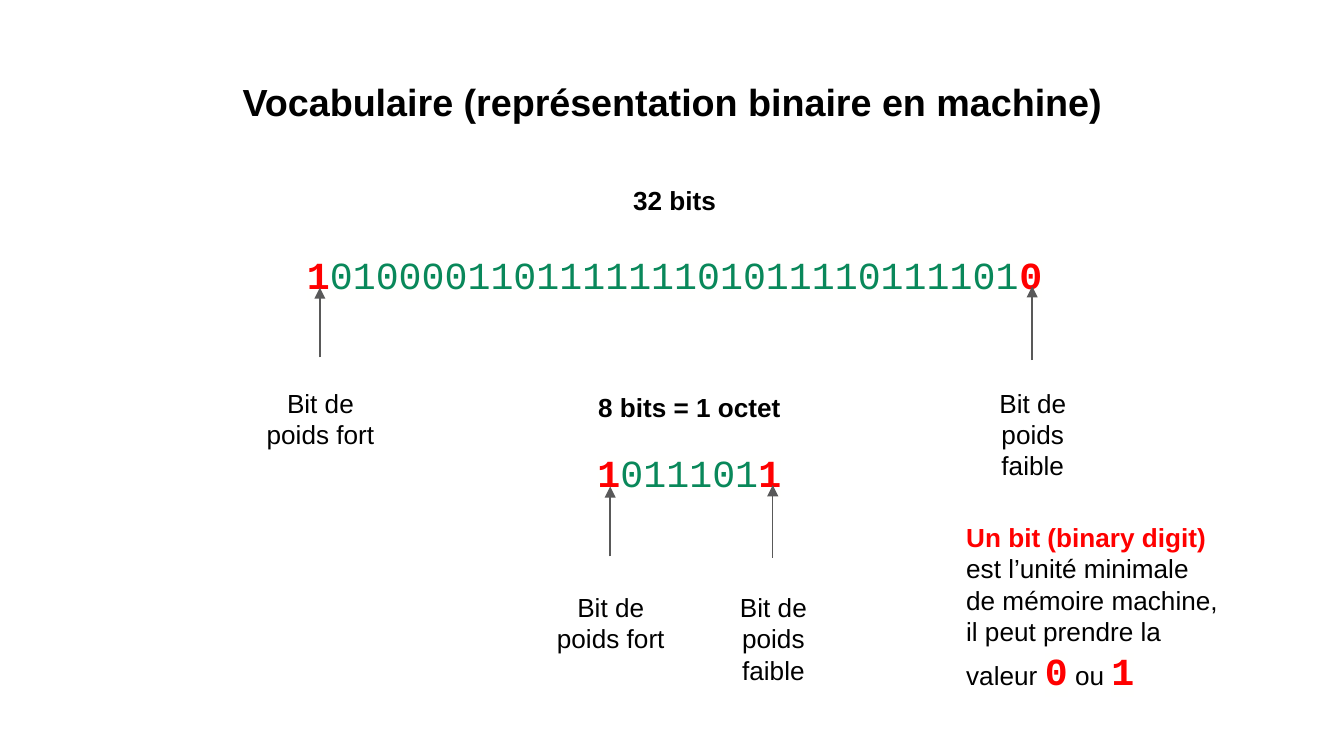
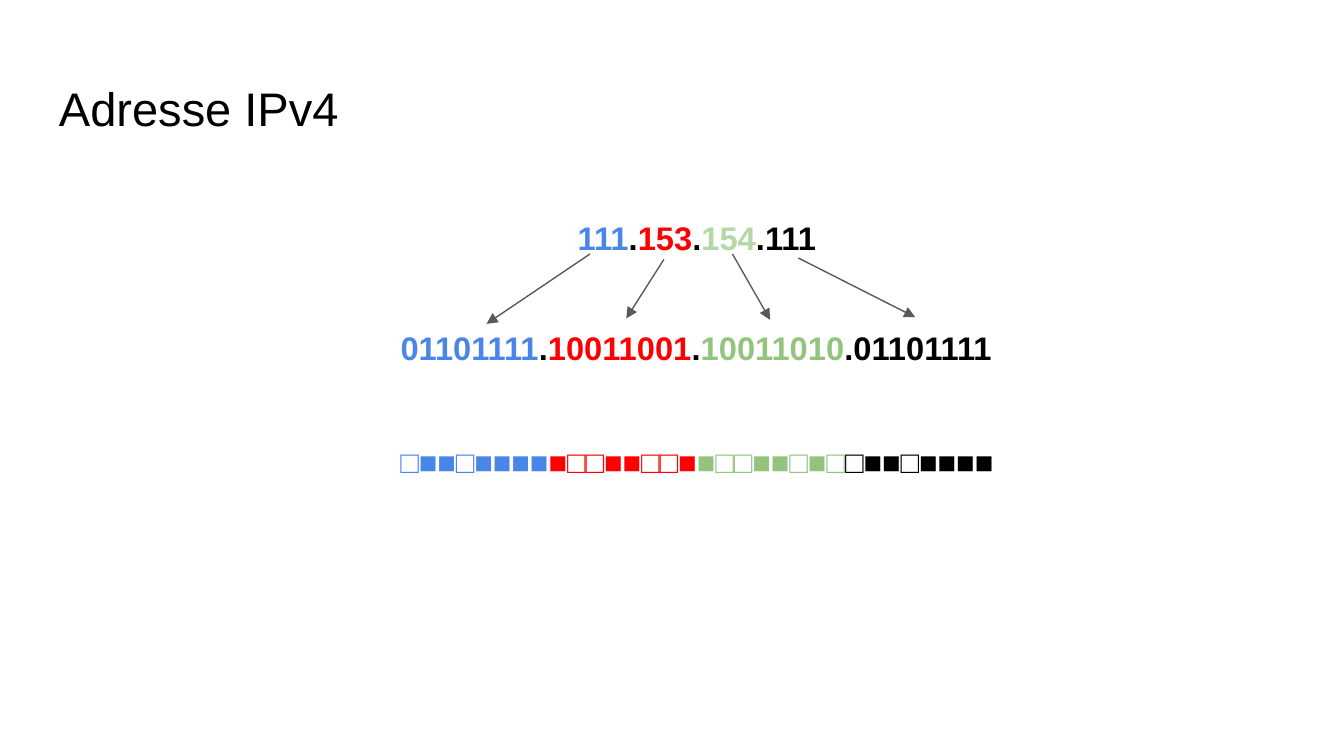
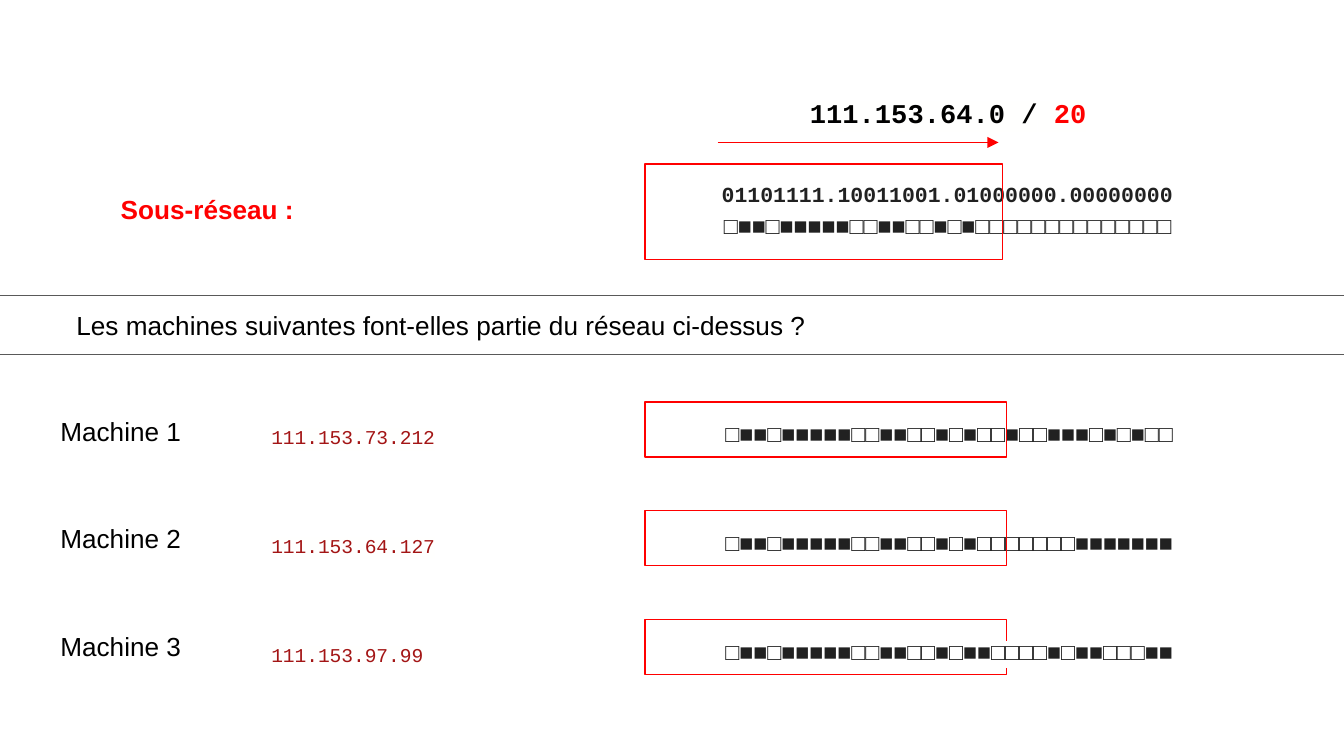
from pptx import Presentation
from pptx.dml.color import RGBColor as Rgb
from pptx.enum.shapes import MSO_CONNECTOR as Connector, MSO_SHAPE as Preset
from pptx.enum.text import MSO_AUTO_SIZE as AutoSize, PP_ALIGN as Align
from pptx.oxml.ns import qn
from pptx.util import Inches, Pt
from lxml.etree import SubElement, Element

COLOURS = {
    "black": "000000", "red": "FF0000", "green": "09885A", "grey": "595959",
    "blue": "4A86E8", "pale": "B6D7A8", "leaf": "93C47D", "ink": "212121",
    "brick": "A31515", "paper": "FFFFFE", "white": "FFFFFF",
}
# Each style: font, size, bold, highlight
STYLES = {
    "heading": ("Arial", 20.2, True, None),
    "title": ("Arial", 25.2, False, None),
    "label": ("Arial", 14, False, None),
    "strong": ("Arial", 14, True, None),
    "digit": ("Courier New", 20.5, False, "paper"),
    "end digit": ("Courier New", 20.5, True, "paper"),
    "address": ("Arial", 17.5, True, None),
    "square": ("Arial", 16.5, False, None),
    "bold square": ("Arial", 16.5, True, None),
    "subnet": ("Courier New", 14.5, True, "paper"),
    "subnet bits": ("Courier New", 11.5, True, "white"),
    "small square": ("Courier New", 12.5, False, "white"),
    "machine": ("Courier New", 10.5, False, "paper"),
}
CENTER = {"alignment": Align.CENTER}
CODE = {"line_spacing": 1.36}
SPACED = {"line_spacing": 1.15, "space_before": Pt(11)}
STRIP = {**SPACED, "space_after": Pt(11)}
TITLE_PLACE = (0.34, 0.49, 9.32, 0.63)


def add_text(page, place, spans, layout={}, grow=True):
    """Spans are (text, style, colour); a text of "\\n" breaks the line."""
    box = page.shapes.add_textbox(*map(Inches, place))
    frame = box.text_frame
    frame.word_wrap = True
    frame.auto_size = AutoSize.SHAPE_TO_FIT_TEXT if grow else AutoSize.NONE
    for side in ("left", "top", "right", "bottom"):
        setattr(frame, f"margin_{side}", Inches(0.1))
    para = frame.paragraphs[0]
    for name, value in layout.items():
        setattr(para, name, value)
    if "space_before" in layout:
        for side in ("marL", "marR"):
            para._p.get_or_add_pPr().set(side, str(Inches(0.08)))
    for text, style, colour in spans:
        if text == "\n":
            para.add_line_break()
            continue
        span = para.add_run()
        span.text = text
        face, size, bold, highlight = STYLES[style]
        for name, value in {"name": face, "size": Pt(size), "bold": bold}.items():
            setattr(span.font, name, value)
        span.font.color.rgb = Rgb.from_string(COLOURS[colour])
        if highlight:
            mark = Element(qn("a:highlight"))
            SubElement(mark, qn("a:srgbClr")).set("val", COLOURS[highlight])
            span.font._element.find(qn("a:solidFill")).addnext(mark)
    return box


def add_line(page, start, end, colour="grey", arrow=True):
    line = page.shapes.add_connector(Connector.STRAIGHT, *map(Inches, start + end))
    line.line.color.rgb = Rgb.from_string(COLOURS[colour])
    line.line.width = Pt(0.75)
    if arrow:
        SubElement(line.line._ln, qn("a:tailEnd")).set("type", "triangle")
    SubElement(line._element.spPr, qn("a:effectLst"))


deck = Presentation()
deck.slide_width = Inches(10)
deck.slide_height = deck.slide_width * 9 // 16
blank = deck.slide_layouts[6]

# Slide 1: vocabulary of binary numbers
page = deck.slides.add_slide(blank)
add_text(page, TITLE_PLACE,
         [("Vocabulaire (représentation binaire en machine)", "heading", "black")],
         CENTER, grow=False)
numbers = [
    ("10100001101111111010111101111010", (0.49, 1.65), "32 bits", (4.11, 1.27)),
    ("10111011", (0.6, 3.12), "8 bits = 1 octet", (4.22, 2.81)),
]
for digits, digits_at, caption, caption_at in numbers:
    add_text(page, digits_at + (9.06, 1.07),
             [(digits[0], "end digit", "red"), (digits[1:-1], "digit", "green"),
              (digits[-1], "end digit", "red")], {**CENTER, **CODE})
    add_text(page, caption_at + (1.82, 0.44), [(caption, "strong", "black")], CENTER)

# Arrows to the end bits: x, arrow foot, arrow tip, label top
end_bits = [
    ("fort", 2.38, 2.66, 2.14, 2.78), ("faible", 7.68, 2.68, 2.13, 2.78),
    ("fort", 4.54, 4.14, 3.62, 4.3), ("faible", 5.75, 4.15, 3.61, 4.3),
]
for weight, x, foot, tip, top in end_bits:
    add_line(page, (x, foot), (x, tip))
    height = 0.67 if weight == "fort" else 0.91
    add_text(page, (x - 0.51, top, 1.03, height),
             [(f"Bit de poids {weight}", "label", "black")], CENTER)

add_text(page, (7.09, 3.78, 2.08, 1.49), [
    ("Un bit (binary digit) ", "strong", "red"),
    ("est l’unité minimale de mémoire machine, il peut prendre la valeur ",
     "label", "black"),
    ("0", "end digit", "red"), (" ou ", "label", "black"), ("1", "end digit", "red"),
])

# Slide 2: IPv4 address in decimal, in binary and as squares
page = deck.slides.add_slide(blank)
add_text(page, TITLE_PLACE, [("Adresse IPv4", "title", "black")], grow=False)
octets = [(111, "blue"), (153, "red"), (154, "leaf"), (111, "black")]
decimal, binary, squares = [], [], []
for value, colour in octets:
    if decimal:
        decimal.append((".", "address", "black"))
        binary.append((".", "address", "black"))
    bits = f"{value:08b}"
    decimal.append((str(value), "address", "pale" if colour == "leaf" else colour))
    binary.append((bits, "address", colour))
    squares.append((bits.replace("0", "□").replace("1", "■"),
                    "bold square" if colour == "blue" else "square", colour))
for place, spans in [((2.38, 1.48, 5.61, 1.07), decimal),
                     ((2.38, 2.3, 5.6, 1.07), binary),
                     ((1.4, 3.15, 7.57, 1.03), squares)]:
    add_text(page, place, spans, {**CENTER, **SPACED})
for start, end in [((4.39, 1.89), (3.62, 2.41)), ((4.94, 1.93), (4.66, 2.37)),
                   ((5.45, 1.89), (5.73, 2.38)), ((5.94, 1.92), (6.81, 2.36))]:
    add_line(page, start, end)

# Slide 3: subnet and its machines
page = deck.slides.add_slide(blank)
add_text(page, (4.76, 0.53, 4.59, 0.99),
         [("111.153.64.0 /", "subnet", "black"), (" ", "subnet", "brick"),
          ("20", "subnet", "red")], {**CENTER, **CODE})
subnet_bits = ".".join(f"{int(part):08b}" for part in "111.153.64.0".split("."))
subnet_squares = subnet_bits.replace(".", "").replace("0", "□").replace("1", "■")
add_text(page, (4.3, 1.22, 5.5, 0.63),
         [(subnet_bits, "subnet bits", "ink"), ("\n", None, None),
          (subnet_squares, "small square", "ink")], {**CENTER, **STRIP})
add_line(page, (5.34, 1.06), (7.43, 1.06), "red")
add_text(page, (0.8, 1.34, 2.93, 0.44), [("Sous-réseau :", "strong", "red")])

# Question between two rules
for y in (2.2, 2.64):
    add_line(page, (0, y), (10, y), arrow=False)
add_text(page, (0.47, 2.2, 6.23, 0.44),
         [("Les machines suivantes font-elles partie du réseau ci-dessus ?",
           "label", "black")])

# Machine rows
prefix_frames = [(4.8, 1.22, 2.66, 0.71)]
for row, address in enumerate(["111.153.73.212", "111.153.64.127", "111.153.97.99"]):
    top = 2.99 + 0.81 * row
    add_text(page, (0.35, 2.99 + 0.8 * row, 1.31, 0.44),
             [(f"Machine {row + 1}", "label", "black")])
    add_text(page, (1.92, top + 0.01, 3.28, 0.38), [(address, "machine", "brick")], CODE)
    bits = "".join(f"{int(part):08b}" for part in address.split("."))
    strip = add_text(page, (5.22, top, 3.77, 0.41),
                     [(bits.replace("0", "□").replace("1", "■"), "small square", "ink")],
                     STRIP)
    prefix_frames.append((4.8, top, 2.69, 0.41))

# Frames around the network prefix; the last strip lies above its frame
for place in prefix_frames:
    frame = page.shapes.add_shape(Preset.RECTANGLE, *map(Inches, place))
    frame.shadow.inherit = False
    frame.fill.background()
    frame.line.color.rgb = Rgb.from_string(COLOURS["red"])
    frame.line.width = Pt(0.75)
strip._element.getparent().append(strip._element)

deck.save("out.pptx")
